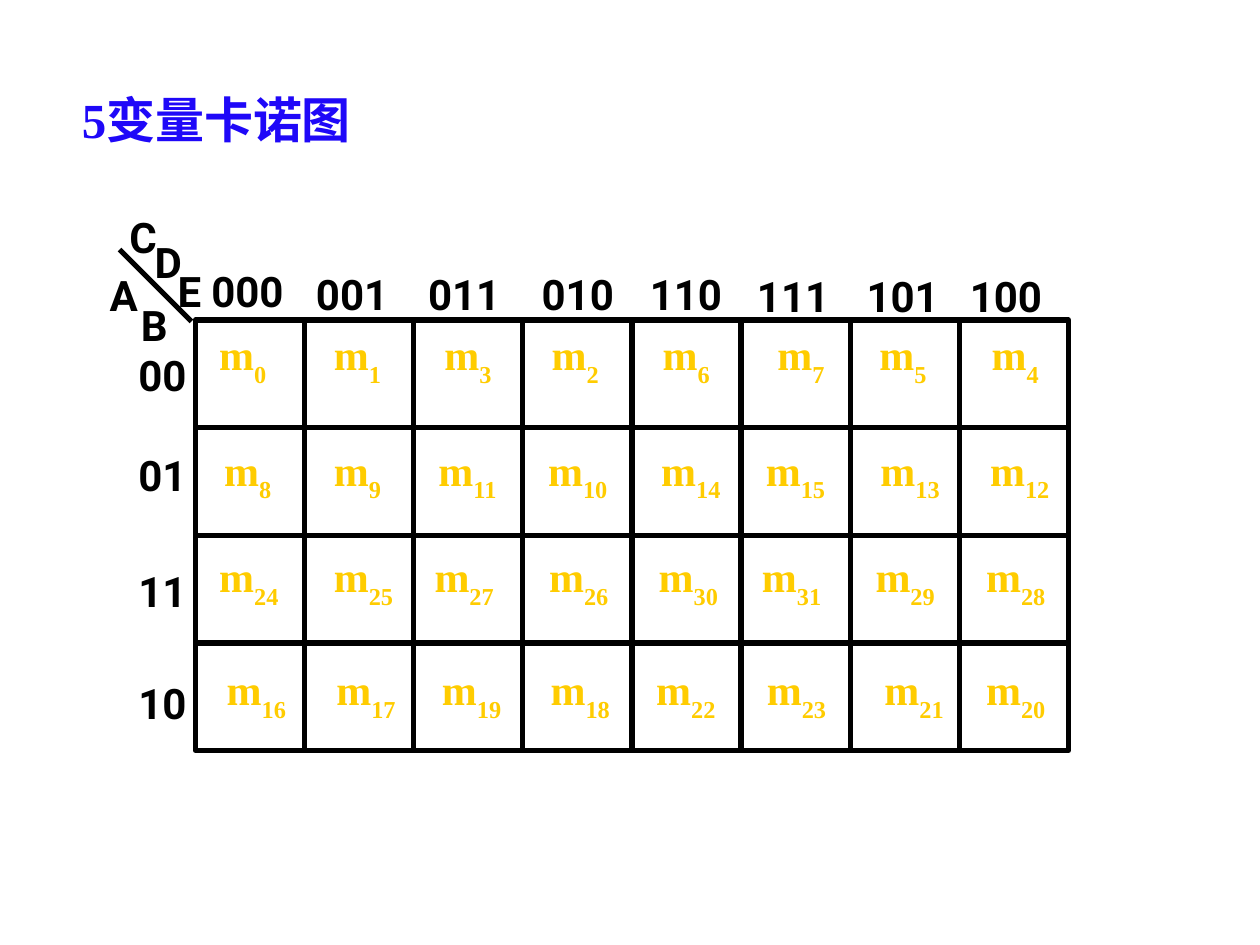
"""Build a slide with a five-variable Karnaugh map."""
from lxml import etree
from pptx import Presentation
from pptx.dml.color import RGBColor
from pptx.enum import shapes, text
from pptx.oxml import ns
from pptx.util import Cm, Pt

BLACK = RGBColor(0x00, 0x00, 0x00)
BLUE = RGBColor(0x1F, 0x08, 0xF8)
GOLD = RGBColor(0xFF, 0xCC, 0x00)
SERIF = "Times New Roman"
SANS = "Roboto"

LEFT, TOP = 3.94, 6.45
WIDE, HIGH = 2.2, 2.17
COLS, ROWS = 8, 4
RIGHT, BASE = LEFT + COLS * WIDE, TOP + ROWS * HIGH

deck = Presentation()
deck.slide_width, deck.slide_height = Cm(25.4), Cm(19.05)
slide = deck.slides.add_slide(deck.slide_layouts[6])


def write(words, x, y, w, h=1.27, face=SANS, color=BLACK, size=24,
          anchor=text.MSO_ANCHOR.TOP):
    frame = slide.shapes.add_textbox(Cm(x), Cm(y), Cm(w), Cm(h)).text_frame
    frame.word_wrap = True
    frame.vertical_anchor = anchor
    para = frame.paragraphs[0]
    for word in words:
        para.add_run().text = word
    font = para.font
    font.name, font.size, font.bold = face, Pt(size), True
    font.color.rgb = color
    return para


def draw(x1, y1, x2, y2):
    line = slide.shapes.add_connector(
        shapes.MSO_CONNECTOR.STRAIGHT, Cm(x1), Cm(y1), Cm(x2), Cm(y2))
    line.line.color.rgb = BLACK
    line.line.width = Pt(3)
    etree.SubElement(line._element.spPr, ns.qn("a:effectLst"))


write(["5变量卡诺图"], 1.4, 1.65, 6.78, 1.47, SERIF, BLUE, 28,
      text.MSO_ANCHOR.BOTTOM)

for row in range(ROWS):
    for col in range(COLS):
        cell = slide.shapes.add_shape(
            shapes.MSO_SHAPE.RECTANGLE, Cm(LEFT + col * WIDE),
            Cm(TOP + row * HIGH), Cm(WIDE), Cm(HIGH))
        cell.shadow.inherit = False
        cell.fill.background()
        cell.line.color.rgb = BLACK
        cell.line.width = Pt(3)

half = (LEFT + RIGHT) / 2
for row in range(ROWS + 1):
    y = TOP + row * HIGH
    draw(LEFT, y, half, y)
    draw(half, y, RIGHT, y)
for col in range(COLS + 1):
    x = LEFT + col * WIDE
    draw(x, TOP, x, BASE)
draw(3.86, 6.48, 2.41, 5.03)

for name, x, y in [("A", 1.96, 5.31), ("B", 2.59, 5.92), ("C", 2.36, 4.14),
                   ("D", 2.87, 4.65), ("E", 3.33, 5.23)]:
    write([name], x, y, 1.19)

gray = [n ^ n >> 1 for n in range(COLS)]
heads = [(4.01, 5.23), (6.12, 5.28), (8.38, 5.28), (10.67, 5.28),
         (12.85, 5.28), (15.01, 5.33), (17.22, 5.33), (19.3, 5.33)]
for code, (x, y) in zip(gray, heads):
    write([f"{code:03b}"], x, y, 2.3)
for code, y in zip(gray, [6.93, 8.94, 11.28, 13.54]):
    write([f"{code:02b}"], 2.54, y, 1.6)

terms = [
    (6.59, [4.17, 6.48, 8.71, 10.87, 13.11, 15.42, 17.48, 19.74]),
    (8.92, [4.27, 6.48, 8.59, 10.8, 13.08, 15.19, 17.5, 19.71]),
    (11.07, [4.17, 6.48, 8.51, 10.82, 13.03, 15.11, 17.4, 19.63]),
    (13.35, [4.32, 6.53, 8.66, 10.85, 12.98, 15.21, 17.58, 19.63]),
]
for high, (y, spots) in zip(gray, terms):
    for low, x in zip(gray, spots):
        term = high * COLS + low
        para = write(["m", str(term)], x, y, 1.75 if term < 10 else 2.03,
                     face=SERIF, color=GOLD, anchor=text.MSO_ANCHOR.MIDDLE)
        para.runs[1].font._element.set("baseline", "-30000")

deck.save("out.pptx")
